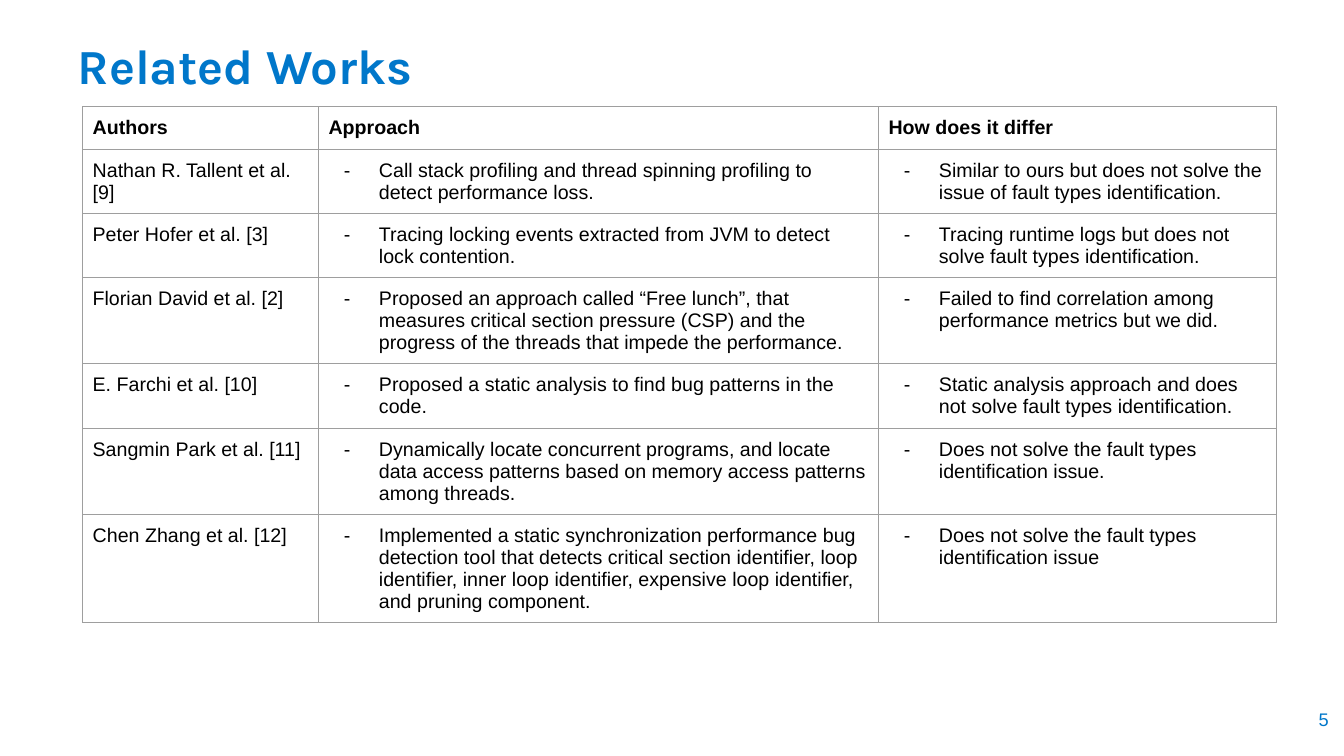
"""Build the Related Works slide with its comparison table."""
from lxml.etree import SubElement
from pptx import Presentation
from pptx.dml.color import RGBColor
from pptx.enum.text import MSO_ANCHOR, MSO_AUTO_SIZE, PP_ALIGN
from pptx.oxml.ns import qn
from pptx.util import Pt

THEME = {
    "accent": RGBColor(0x00, 0x77, 0xCA),
    "text": RGBColor(0, 0, 0),
    "border": "9E9E9E",
    "title_size": 35,
    "table_size": 14,
    "number_size": 13,
}
WORKS = [
    ("Authors", "Approach", "How does it differ"),
    ("Nathan R. Tallent et al. [9]",
     "Call stack profiling and thread spinning profiling to detect performance loss.",
     "Similar to ours but does not solve the issue of fault types identification."),
    ("Peter Hofer et al. [3]",
     "Tracing locking events extracted from JVM to detect lock contention.",
     "Tracing runtime logs but does not solve fault types identification."),
    ("Florian David et al. [2]",
     "Proposed an approach called “Free lunch”, that\n"
     "measures critical section pressure (CSP) and the progress of the threads "
     "that impede the performance.",
     "Failed to find correlation among performance metrics but we did."),
    ("E. Farchi et al. [10]",
     "Proposed a static analysis to find bug patterns in the code.",
     "Static analysis approach and does not solve fault types identification."),
    ("Sangmin Park et al. [11]",
     "Dynamically locate concurrent programs, and locate data access patterns "
     "based on memory access patterns among threads.",
     "Does not solve the fault types identification issue."),
    ("Chen Zhang et al. [12]",
     "Implemented a static synchronization performance bug detection tool that "
     "detects critical section identifier, loop identifier, inner loop identifier, "
     "expensive loop identifier, and pruning component.",
     "Does not solve the fault types identification issue"),
]
LINE_COUNTS = [1, 2, 2, 3, 2, 3, 4]
COLUMN_WIDTHS = [168.5, 400, 284.4]


def write(frame, text, size, color, font="Arial", bold=False, align=PP_ALIGN.LEFT,
          inset=7.2, bullet=None):
    """Fill a text frame, one paragraph per line, with a bullet on the first."""
    frame.word_wrap = True
    frame.margin_left = frame.margin_right = Pt(7.2)
    frame.margin_top = frame.margin_bottom = Pt(inset)
    for index, line in enumerate(text.split("\n")):
        para = frame.add_paragraph() if index else frame.paragraphs[0]
        para.alignment = align
        span = para.add_run()
        span.text = line
        span.font.name = font
        span.font.size = Pt(size)
        span.font.bold = bold
        span.font.color.rgb = color
        if bullet:
            properties = para._p.get_or_add_pPr()
            properties.set("marL", str(Pt(36)))
            properties.set("indent", str(0 if index else -Pt(25)))
            if index == 0:
                SubElement(SubElement(properties, qn("a:buClr")),
                           qn("a:srgbClr"), val=str(color))
                SubElement(properties, qn("a:buFont"), typeface=font)
                SubElement(properties, qn("a:buChar"), char=bullet)
            else:
                SubElement(properties, qn("a:buNone"))


deck = Presentation()
deck.slide_width, deck.slide_height = Pt(960), Pt(540)
page = deck.slides.add_slide(deck.slide_layouts[5])

title = page.shapes.title
title.left, title.top, title.width, title.height = Pt(48.2), Pt(21.6), Pt(864), Pt(49)
title.text_frame.auto_size = MSO_AUTO_SIZE.NONE
title.text_frame.vertical_anchor = MSO_ANCHOR.MIDDLE
write(title.text_frame, "Related Works", THEME["title_size"], THEME["accent"],
      font="Karla", bold=True, inset=3.6)

heights = [30 + 15.7 * (count - 1) for count in LINE_COUNTS]
table = page.shapes.add_table(len(WORKS), len(COLUMN_WIDTHS), Pt(59), Pt(76.4),
                              Pt(sum(COLUMN_WIDTHS)), Pt(sum(heights))).table
table.first_row = table.horz_banding = False
for column, width in zip(table.columns, COLUMN_WIDTHS):
    column.width = Pt(width)
for row_index, (row, height, work) in enumerate(zip(table.rows, heights, WORKS)):
    row.height = Pt(height)
    for column_index, (cell, text) in enumerate(zip(row.cells, work)):
        is_header = row_index == 0
        write(cell.text_frame, text, THEME["table_size"], THEME["text"], bold=is_header,
              bullet="-" if column_index and not is_header else None)
        cell.margin_left = cell.margin_right = Pt(7.2)
        cell.margin_top = cell.margin_bottom = Pt(7.2)
        cell_properties = cell._tc.get_or_add_tcPr()
        for side in ("lnL", "lnR", "lnT", "lnB"):
            edge = SubElement(cell_properties, qn(f"a:{side}"), w=str(Pt(0.75)))
            SubElement(SubElement(edge, qn("a:solidFill")), qn("a:srgbClr"),
                       val=THEME["border"])
        cell.fill.background()

number_box = page.shapes.add_textbox(Pt(898.6), Pt(499), Pt(57.6), Pt(41))
write(number_box.text_frame, "5", THEME["number_size"], THEME["accent"],
      align=PP_ALIGN.RIGHT)

deck.save("out.pptx")
